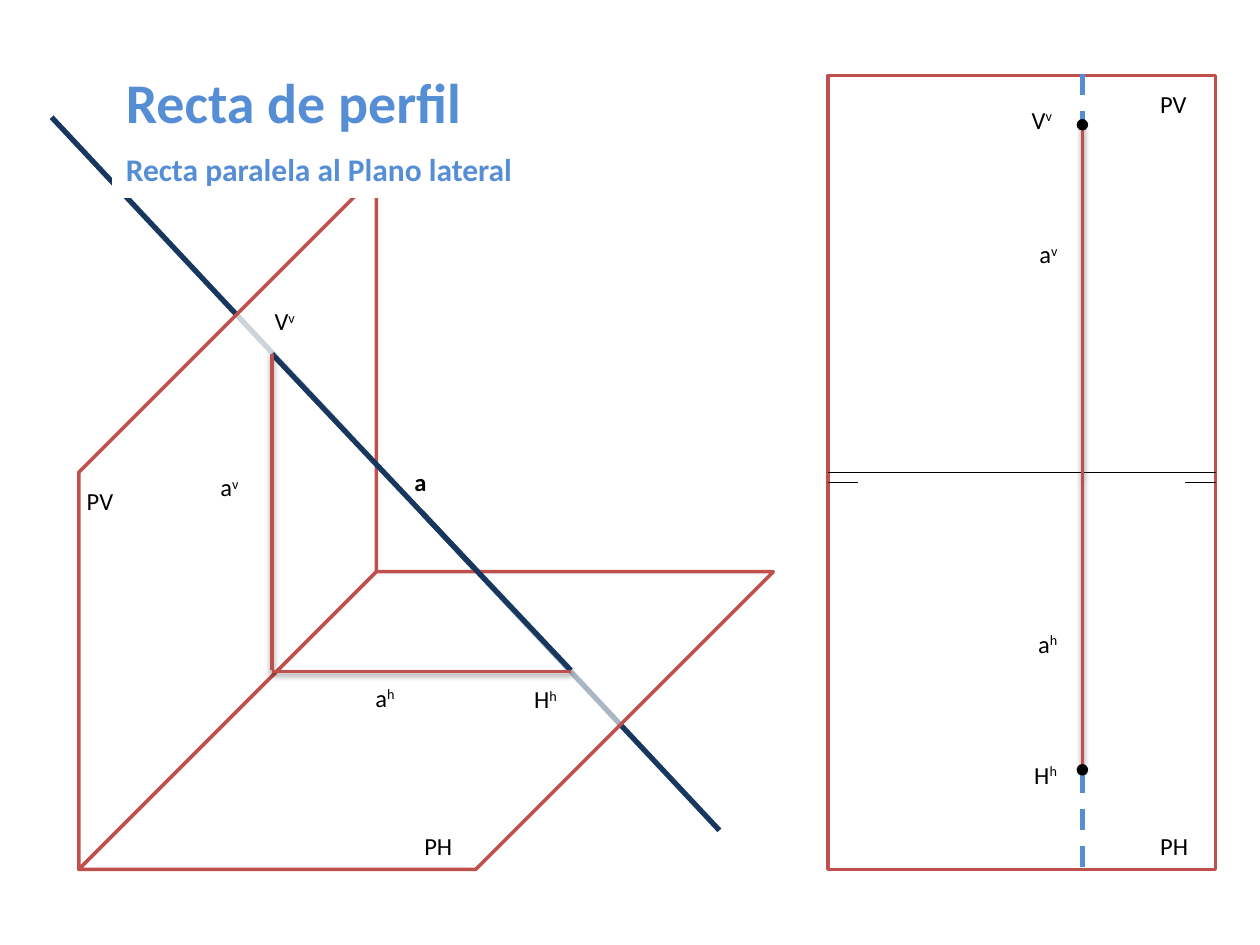
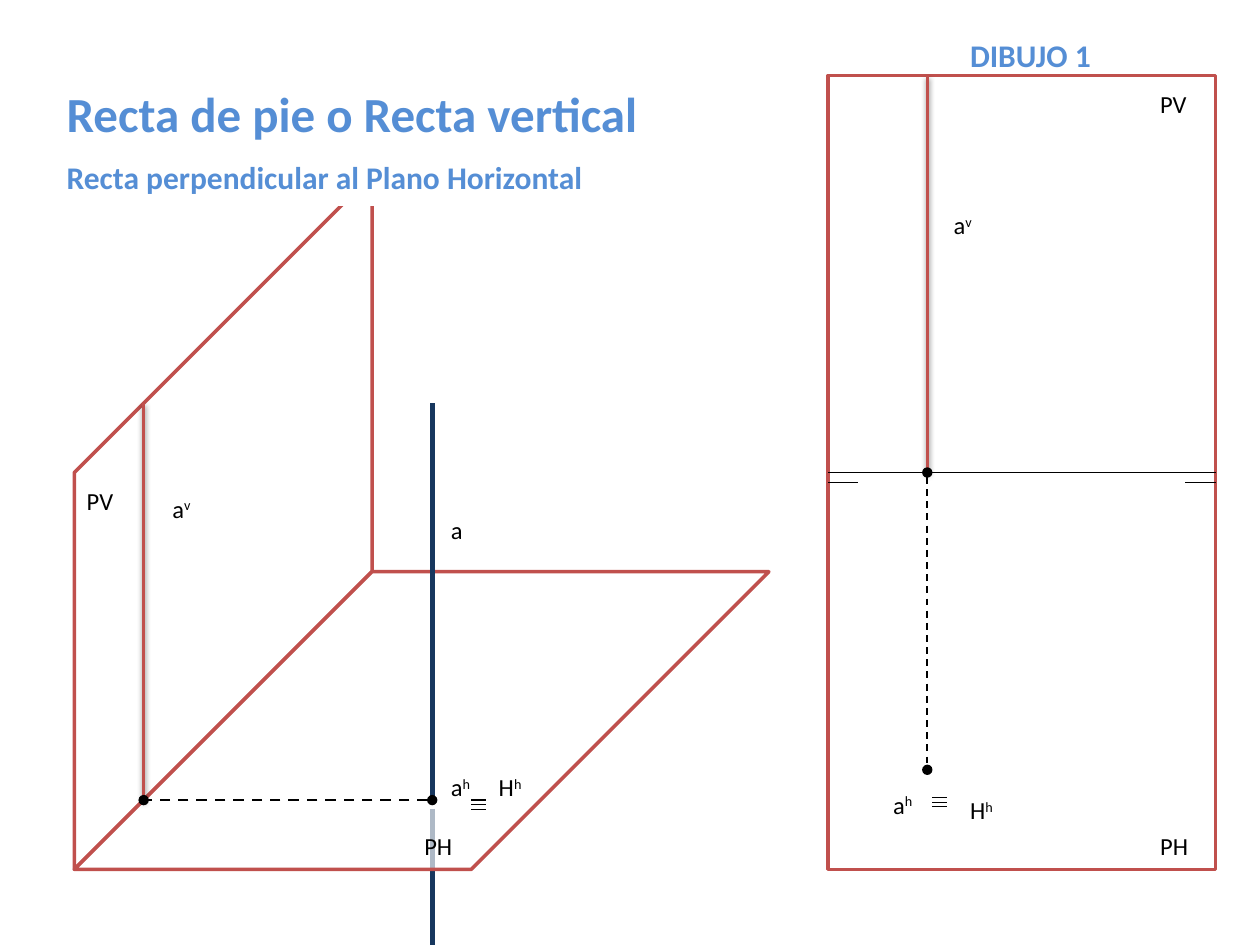
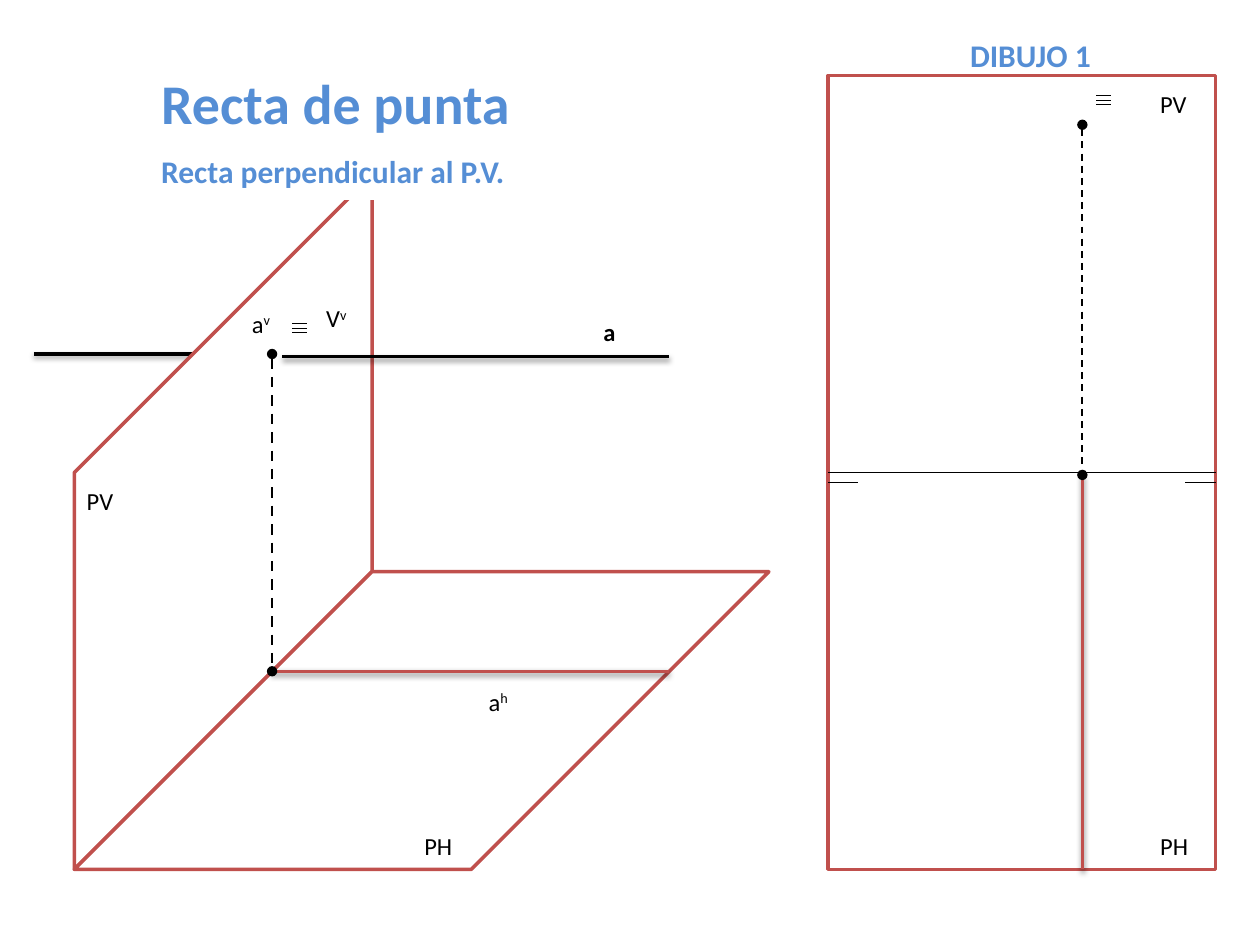
from lxml.etree import SubElement
from pptx import Presentation
from pptx.dml.color import RGBColor
from pptx.enum.dml import MSO_LINE
from pptx.enum.shapes import MSO_CONNECTOR, MSO_SHAPE
from pptx.enum.text import MSO_ANCHOR, MSO_AUTO_SIZE, PP_ALIGN
from pptx.oxml.ns import qn
from pptx.util import Pt

FONT = "Calibri"
RED, NAVY, BLUE, BLACK, WHITE = "C0504D", "17375E", "558ED5", "000000", "FFFFFF"

# Line styles: colour, width, dashed, shadow, oval ends
STYLES = {
    "space": (NAVY, 3, False, False, False),
    "solid": (BLACK, 2, False, True, False),
    "trace": (RED, 2, False, True, False),
    "hidden": (BLUE, 3, True, False, False),
    "drop": (BLACK, 1.5, True, False, True),
    "link": (BLACK, 1, True, False, True),
    "thin": (BLACK, 0.75, False, False, False),
}

# Two planes in space: side and depth; top and bottom are shared with the sheet
TOP, FOLD, BASE = 43.2, 270, 496.8
SIDE, DEPTH = 226.8, 170.1
LEFT, RIGHT = 473.2, 694.6
MARK = 17.3
BAR, GAP = 8.6, 2.6
DOT = 5.8

# Label box widths; "^" starts the superscript
WIDTHS = {"PV": 31.7, "PH": 31.7, "a": 20.9, "a^v": 25.2, "a^h": 25.9,
          "H^h": 28.1, "V^v": 28.8}
COMMON = [("PV", 42.5, 274.3), ("PH", 655.9, 471.6),
          ("PH", 235.4, 471.6), ("PV", 655.9, 47.5)]

SLIDES = [
    {
        "title": ("Recta de perfil", 32, "Recta paralela al Plano lateral"),
        "box": (64.8, 33.8, 374.4, 78.5),
        "left": 45, "alphas": (78, 64), "drawing": None,
        "back": [("space", 241.2, 293, 411.1, 474.5),
                 ("space", 29.5, 67, 199.4, 248.4)],
        "front": [("space", 155.5, 202.3, 326.2, 383),
                  ("trace", 155.5, 202.3, 155.5, 383),
                  ("trace", 155.5, 383.8, 326.2, 383.8),
                  ("trace", 618.5, 71.3, 618.5, 271.4),
                  ("trace", 618.5, 271.4, 618.5, 439.9),
                  ("hidden", 618.5, 441.4, 618.5, 498.2),
                  ("hidden", 618.5, 42.5, 618.5, 71.3)],
        "dots": [(618.5, 71.3), (618.5, 439.9)],
        "bars": [],
        "bold": [("a", 229.7, 263.5)],
        "labels": [("a^v", 118.8, 266.4), ("a^v", 586.8, 133.2),
                   ("a^h", 207.4, 386.6), ("H^h", 298.1, 387.4),
                   ("V^v", 149.8, 171.4), ("V^v", 582.5, 56.2),
                   ("H^h", 583.9, 430.6), ("a^h", 586.1, 355.7)],
    },
    {
        "title": ("Recta de pie o Recta vertical", 28,
                  "Recta perpendicular al Plano Horizontal"),
        "box": (31, 42.5, 430.6, 74.2),
        "left": 42.5, "alphas": (64, 65), "drawing": "DIBUJO 1",
        "back": [("space", 247, 462.2, 247, 540)],
        "front": [("space", 247, 230.4, 247, 457.2),
                  ("trace", 82.1, 230.4, 82.1, 457.2),
                  ("drop", 247, 457.2, 82.1, 457.2),
                  ("trace", 529.9, TOP, 529.9, FOLD),
                  ("link", 529.9, FOLD, 529.9, 439.9)],
        "dots": [],
        "bars": [(269.3, 457.2), (532.8, 455.8)],
        "bold": [],
        "labels": [("a^v", 91.4, 278.6), ("a^h", 250.6, 437.8),
                   ("H^h", 277.9, 437.8), ("a^h", 503.3, 447.8),
                   ("H^h", 547.2, 450.7), ("a^v", 537.8, 116.6),
                   ("a", 250.6, 290.9)],
    },
    {
        "title": ("Recta de punta", 32, "Recta perpendicular al P.V."),
        "box": (85, 34.6, 306, 78.5),
        "left": 42.5, "alphas": (100, 100), "drawing": "DIBUJO 1",
        "back": [("solid", 19.4, 202.3, 152.6, 202.3)],
        "front": [("trace", 155.5, 383.6, 382.3, 383.6),
                  ("drop", 155.5, 202.3, 155.5, 383.6),
                  ("trace", 618.5, 271.4, 618.5, BASE),
                  ("link", 618.5, 71.3, 618.5, 271.4),
                  ("solid", 161.3, 203.8, 382.3, 203.8)],
        "dots": [],
        "bars": [(167, 185), (626.4, 54.7)],
        "bold": [("a", 337.7, 177.8)],
        "labels": [("a^v", 136.8, 172.8), ("a^h", 272.2, 388.8),
                   ("V^v", 179.3, 169.9)],
    },
]


def rgb(code):
    return RGBColor.from_string(code)


def paint(shape, fill, line, width, alpha=100):
    shape.shadow.inherit = False
    shape.fill.solid()
    shape.fill.fore_color.rgb = rgb(fill)
    shape.line.color.rgb = rgb(line)
    shape.line.width = Pt(width)
    if alpha < 100:
        color = shape._element.spPr.find(".//" + qn("a:srgbClr"))
        SubElement(color, qn("a:alpha"), val=str(alpha * 1000))


def write(run, size, color=BLACK, bold=False):
    run.font.name = FONT
    run.font.size = Pt(size)
    run.font.bold = bold
    run.font.color.rgb = rgb(color)


def draw_line(slide, style, *ends):
    color, width, dashed, shadow, ovals = STYLES[style]
    line = slide.shapes.add_connector(MSO_CONNECTOR.STRAIGHT, *map(Pt, ends))
    line.line.color.rgb = rgb(color)
    line.line.width = Pt(width)
    if dashed:
        line.line.dash_style = MSO_LINE.DASH
    props = line._element.spPr
    if ovals:
        for tag in ("a:headEnd", "a:tailEnd"):
            SubElement(props.find(qn("a:ln")), qn(tag), type="oval")
    effects = SubElement(props, qn("a:effectLst"))
    if shadow:
        outer = SubElement(effects, qn("a:outerShdw"), blurRad=str(Pt(3.1)),
                           dist=str(Pt(1.6)), dir="5400000", rotWithShape="0")
        tint = SubElement(outer, qn("a:srgbClr"), val=BLACK)
        SubElement(tint, qn("a:alpha"), val="38000")
    return line


def draw_planes(slide, left, alphas):
    hinge, back = left + DEPTH, BASE - DEPTH
    wall = [(left, BASE), (left, FOLD), (hinge, FOLD - DEPTH), (hinge, back)]
    floor = [(hinge, back), (hinge + SIDE, back), (left + SIDE, BASE), (left, BASE)]
    for points, alpha in zip((wall, floor), alphas):
        first, *rest = [(Pt(x), Pt(y)) for x, y in points]
        builder = slide.shapes.build_freeform(*first)
        builder.add_line_segments(rest, close=True)
        paint(builder.convert_to_shape(), WHITE, RED, 2, alpha)


def draw_sheet(slide):
    """Flat view: both planes unfolded around the ground line."""
    sheet = slide.shapes.add_shape(MSO_SHAPE.RECTANGLE, Pt(LEFT), Pt(TOP),
                                   Pt(RIGHT - LEFT), Pt(BASE - TOP))
    paint(sheet, WHITE, RED, 2)
    ground = draw_line(slide, "thin", LEFT, FOLD, RIGHT, FOLD)
    ground.begin_connect(sheet, 1)
    ground.end_connect(sheet, 3)
    for edge, step in ((LEFT, MARK), (RIGHT, -MARK)):
        draw_line(slide, "thin", edge, FOLD + 5.8, edge + step, FOLD + 5.8)


def draw_title(slide, box, title, size, sub):
    shape = slide.shapes.add_shape(MSO_SHAPE.RECTANGLE, *map(Pt, box))
    paint(shape, WHITE, WHITE, 2)
    frame = shape.text_frame
    frame.word_wrap = True
    frame.vertical_anchor = MSO_ANCHOR.MIDDLE
    frame.text = f"{title}\n{sub}"
    for para, points in zip(frame.paragraphs, (size, 18)):
        para.alignment = PP_ALIGN.LEFT
        write(para.runs[0], points, BLUE, True)
    frame.paragraphs[1].space_before = Pt(9)


def add_label(slide, text, x, y, width, height=24.5, size=14, color=BLACK, bold=False):
    box = slide.shapes.add_textbox(Pt(x), Pt(y), Pt(width), Pt(height))
    frame = box.text_frame
    frame.word_wrap = False
    frame.auto_size = MSO_AUTO_SIZE.SHAPE_TO_FIT_TEXT
    para = frame.paragraphs[0]
    for index, part in enumerate(text.split("^")):
        run = para.add_run()
        run.text = part
        write(run, size, color, bold)
        if index:
            run._r.get_or_add_rPr().set("baseline", "30000")


def build(deck, data):
    slide = deck.slides.add_slide(deck.slide_layouts[6])
    for line in data["back"]:
        draw_line(slide, *line)
    draw_planes(slide, data["left"], data["alphas"])
    draw_sheet(slide)
    draw_title(slide, data["box"], *data["title"])
    for line in data["front"]:
        draw_line(slide, *line)
    for x, y in data["dots"]:
        dot = slide.shapes.add_shape(MSO_SHAPE.OVAL, Pt(x - DOT / 2), Pt(y - DOT / 2),
                                     Pt(DOT), Pt(DOT))
        paint(dot, BLACK, BLACK, 0.75)
    for x, y in data["bars"]:
        for row in range(3):
            draw_line(slide, "thin", x, y + row * GAP, x + BAR, y + row * GAP)
    for text, x, y in COMMON + data["labels"]:
        add_label(slide, text, x, y, WIDTHS[text])
    for text, x, y in data["bold"]:
        add_label(slide, text, x, y, WIDTHS[text], bold=True)
    if data["drawing"]:
        add_label(slide, data["drawing"], 547.2, 17.3, 95, 28.8, 18, BLUE, True)


def main():
    deck = Presentation()
    deck.slide_width, deck.slide_height = Pt(720), Pt(540)
    for data in SLIDES:
        build(deck, data)
    deck.save("out.pptx")


if __name__ == "__main__":
    main()
